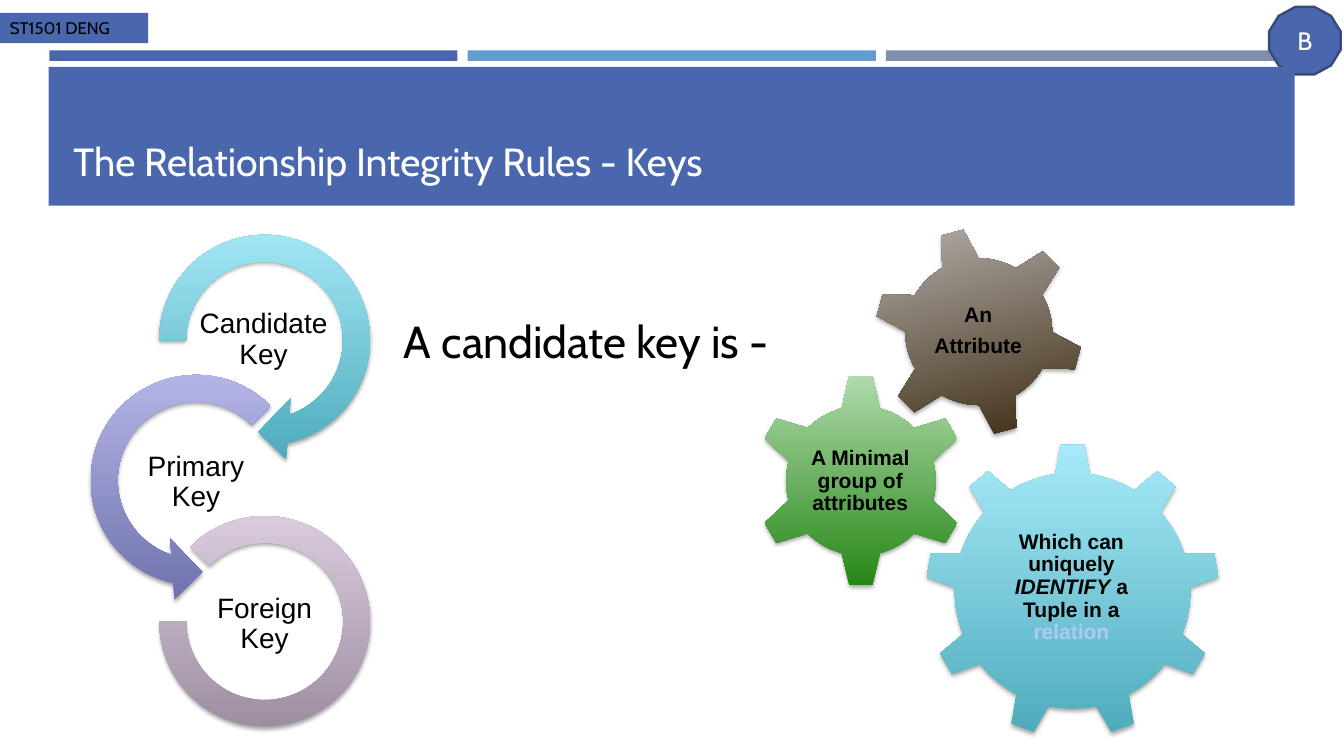
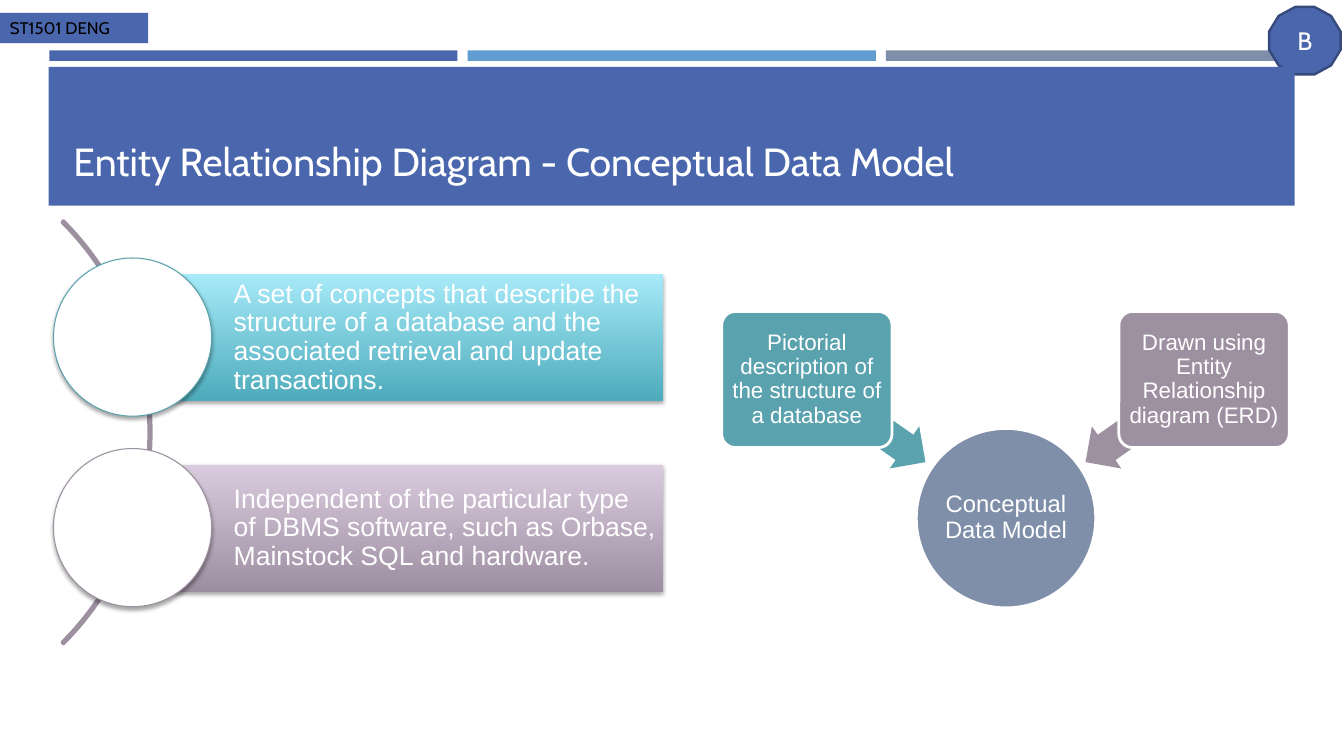
from lxml import etree
from pptx import Presentation
from pptx import util as u
from pptx.dml import color
from pptx.enum import shapes, text
from pptx.oxml import ns

Pt = u.Pt
RGBColor = color.RGBColor
KIND = shapes.MSO_SHAPE
ALIGN = text.PP_ALIGN
ANCHOR = text.MSO_ANCHOR

# Colours and fonts
BLUE = RGBColor(0x4A, 0x66, 0xAC)
NAVY = RGBColor(0x36, 0x4A, 0x7D)
SKY = RGBColor(0x62, 0x9D, 0xD1)
SLATE = RGBColor(0x7F, 0x8F, 0xA9)
TEAL = RGBColor(0x5A, 0xA2, 0xAE)
MAUVE = RGBColor(0x9D, 0x90, 0xA0)
PALE_BLUE = RGBColor(0xAC, 0xCB, 0xF9)
WHITE = RGBColor(0xFF, 0xFF, 0xFF)
BLACK = RGBColor(0, 0, 0)
# Gradients run from the bottom colour to the top colour
AQUA_FADE = [RGBColor(0x4D, 0xAB, 0xBB), RGBColor(0xA7, 0xEA, 0xF9)]
VIOLET_FADE = [RGBColor(0x6F, 0x71, 0xAD), RGBColor(0xB8, 0xB9, 0xEA)]
MAUVE_FADE = [RGBColor(0x9E, 0x8E, 0xA2), RGBColor(0xD9, 0xCB, 0xDD)]
GREEN_FADE = [RGBColor(0x25, 0x86, 0x15), RGBColor(0xB0, 0xDB, 0xAD)]
BROWN_FADE = [RGBColor(0x2F, 0x1C, 0x00), RGBColor(0xC0, 0xBD, 0xBB)]
HEADING_FONT, DIAGRAM_FONT = "Cabin", "Arial"


def draw(page, kind, left, top, width, height, fill=None, line=None,
         weight=1, adjust=(), shadow=False):
    """Add a preset shape; a list as fill makes a vertical gradient."""
    shape = page.shapes.add_shape(kind, Pt(left), Pt(top), Pt(width), Pt(height))
    for index, value in enumerate(adjust):
        shape.adjustments[index] = value
    if fill is None:
        shape.fill.background()
    elif isinstance(fill, list):
        shape.fill.gradient()
        shape.fill.gradient_angle = 90
        for stop, shade in zip(shape.fill.gradient_stops, fill):
            stop.color.rgb = shade
    else:
        shape.fill.solid()
        shape.fill.fore_color.rgb = fill
    if line is None:
        shape.line.fill.background()
    else:
        shape.line.color.rgb = line
        shape.line.width = Pt(weight)
    shape.shadow.inherit = False
    if shadow:
        effects = shape._element.spPr.find(ns.qn("a:effectLst"))
        outer = etree.SubElement(effects, ns.qn("a:outerShdw"), blurRad=str(Pt(3.1)),
                                 dist=str(Pt(1.8)), dir="5400000", rotWithShape="0")
        tint = etree.SubElement(outer, ns.qn("a:srgbClr"), val="000000")
        etree.SubElement(tint, ns.qn("a:alpha"), val="35000")
    return shape


def write(box, words, *more_spans, size, ink, font=DIAGRAM_FONT, bold=False,
          align=ALIGN.CENTER, anchor=ANCHOR.MIDDLE, insets=(1, 1, 1, 1)):
    """Fill a box with text; diagram text is set tighter than headings."""
    frame = box.text_frame
    frame.word_wrap = True
    frame.vertical_anchor = anchor
    (frame.margin_left, frame.margin_top,
     frame.margin_right, frame.margin_bottom) = map(Pt, insets)
    frame.text = words
    for extra in more_spans:
        frame.paragraphs[-1].add_run().text = extra
    for para in frame.paragraphs:
        para.alignment = align
        if font == DIAGRAM_FONT:
            para.line_spacing = 0.9
            para.space_after = Pt(round(size * 0.4))
        for span in para.runs:
            span.font.name = font
            span.font.size = Pt(size)
            span.font.bold = bold
            span.font.color.rgb = ink
    return frame


deck = Presentation()
deck.slide_width, deck.slide_height = Pt(960), Pt(540)

# Frame and title shared by both slides
HEADING = dict(font=HEADING_FONT, insets=(7.2, 3.6, 7.2, 3.6))
pages = []
for title in ("The Relationship Integrity Rules - Keys",
              "Entity Relationship Diagram - Conceptual Data Model"):
    page = deck.slides.add_slide(deck.slide_layouts[6])
    for column, shade in enumerate((BLUE, SKY, SLATE)):
        draw(page, KIND.RECTANGLE, 35.2 + 298.8 * column, 36, 291.6, 7.5, shade)
    badge = draw(page, KIND.DODECAGON, 906.5, 5, 51.1, 48.2, BLUE, NAVY, 1.75)
    write(badge, "B", size=18, ink=WHITE, **HEADING)
    tag = draw(page, KIND.RECTANGLE, 0, 9.2, 105.8, 21.6, BLUE)
    write(tag, "ST1501 DENG", size=12, ink=BLACK, align=ALIGN.LEFT,
          anchor=ANCHOR.TOP, **HEADING)
    draw(page, KIND.RECTANGLE, 34.8, 47.8, 889.9, 99.2, BLUE)
    title_box = page.shapes.add_textbox(Pt(45.4), Pt(57.6), Pt(868.3), Pt(77.8))
    write(title_box, title, size=28, ink=WHITE, align=ALIGN.LEFT,
          anchor=ANCHOR.BOTTOM, **HEADING)
    pages.append(page)
keys_page, model_page = pages

# Slide 1: chain of key types
key_types = [
    ("Candidate Key", 139.7, KIND.CIRCULAR_ARROW, 101.5, 155.5, 175, AQUA_FADE,
     (0.11, 11.42, 45, 108, 0.125)),
    ("Primary Key", 91.4, KIND.LEFT_CIRCULAR_ARROW, 52.6, 255.6, 175, VIOLET_FADE,
     (0.11, 11.42, 63, 189, 0.125)),
    ("Foreign Key", 140.4, KIND.BLOCK_ARC, 113.8, 368.6, 150.5, MAUVE_FADE,
     (135, 108, 0.127)),
]
for row, (name, name_left, kind, left, top, side, fade, adjust) in enumerate(key_types):
    draw(keys_page, kind, left, top, side, side, fade, adjust=adjust, shadow=True)
    label = keys_page.shapes.add_textbox(
        Pt(name_left), Pt(218.2 + 101.6 * row), Pt(97.2), Pt(49))
    write(label, name, size=20, ink=BLACK)

# Slide 1: gears that define a candidate key
gears = [
    (KIND.GEAR_9, 661, 316.8, 210.2, 0, AQUA_FADE, (702.7, 365.8, 125.3, 108),
     ("Which can uniquely ", "IDENTIFY", " a Tuple in a ", "relation")),
    (KIND.GEAR_6, 538.6, 267.1, 152.6, 0, GREEN_FADE, (576.7, 306, 75.6, 75.6),
     ("A Minimal group of attributes",)),
    (KIND.GEAR_6, 624.2, 162, 149.8, 345, BROWN_FADE, (656.6, 194.4, 84.2, 84.2),
     ("An\nAttribute",)),
]
for kind, left, top, side, turn, fade, area, spans in gears:
    gear = draw(keys_page, kind, left, top, side, side, fade, shadow=True)
    gear.rotation = turn
    label = keys_page.shapes.add_textbox(*map(Pt, area))
    frame = write(label, *spans, size=15, ink=BLACK, bold=True)
    if len(spans) > 1:
        runs = frame.paragraphs[0].runs
        runs[1].font.italic = True
        runs[3].font.color.rgb = PALE_BLUE

lead_in = keys_page.shapes.add_textbox(Pt(281.5), Pt(220.3), Pt(295.2), Pt(46.1))
write(lead_in, "A candidate key is -", size=32, ink=BLACK, align=ALIGN.LEFT,
      anchor=ANCHOR.TOP, **HEADING)

# Slide 2: points along an arc
draw(model_page, KIND.BLOCK_ARC, -319.7, 95, 427.7, 427.7, line=MAUVE, weight=2,
     adjust=(189, 27, 0.004))
points = [
    ("A set of concepts that describe the structure of a database and the "
     "associated retrieval and update transactions.", AQUA_FADE, TEAL),
    ("Independent of the particular type of DBMS software, such as Orbase, "
     "Mainstock SQL and hardware.", MAUVE_FADE, MAUVE),
]
for row, (words, fade, outline) in enumerate(points):
    drop = 136.1 * row
    bar = draw(model_page, KIND.RECTANGLE, 95, 195.8 + drop, 378.7, 90.7, fade,
               shadow=True)
    write(bar, words, size=19, ink=WHITE, align=ALIGN.LEFT,
          insets=(72, 3.6, 3.6, 3.6))
    draw(model_page, KIND.OVAL, 38.2, 184.3 + drop, 113, 113, WHITE, outline, 0.75,
         shadow=True)

# Slide 2: two ideas that feed the conceptual model
hub = draw(model_page, KIND.OVAL, 654.5, 306, 128.2, 128.2, SLATE, WHITE, 2)
write(hub, "Conceptual Data Model", size=17, ink=WHITE)
ideas = [
    ("Pictorial description of the structure of a database", TEAL, 515.5, 567.4, 215),
    ("Drawn using Entity Relationship diagram (ERD)", MAUVE, 799.2, 766.1, 325),
]
for words, shade, box_left, arrow_left, turn in ideas:
    arrow = draw(model_page, KIND.LEFT_ARROW, arrow_left, 282.2, 103, 36.7, shade,
                 adjust=(0.6, 0.5))
    arrow.rotation = turn
    idea = draw(model_page, KIND.ROUNDED_RECTANGLE, box_left, 222.5, 121.7, 97.2,
                shade, WHITE, 2, adjust=(0.1,))
    write(idea, words, size=16, ink=WHITE, insets=(2, 2, 2, 2))

deck.save("out.pptx")
